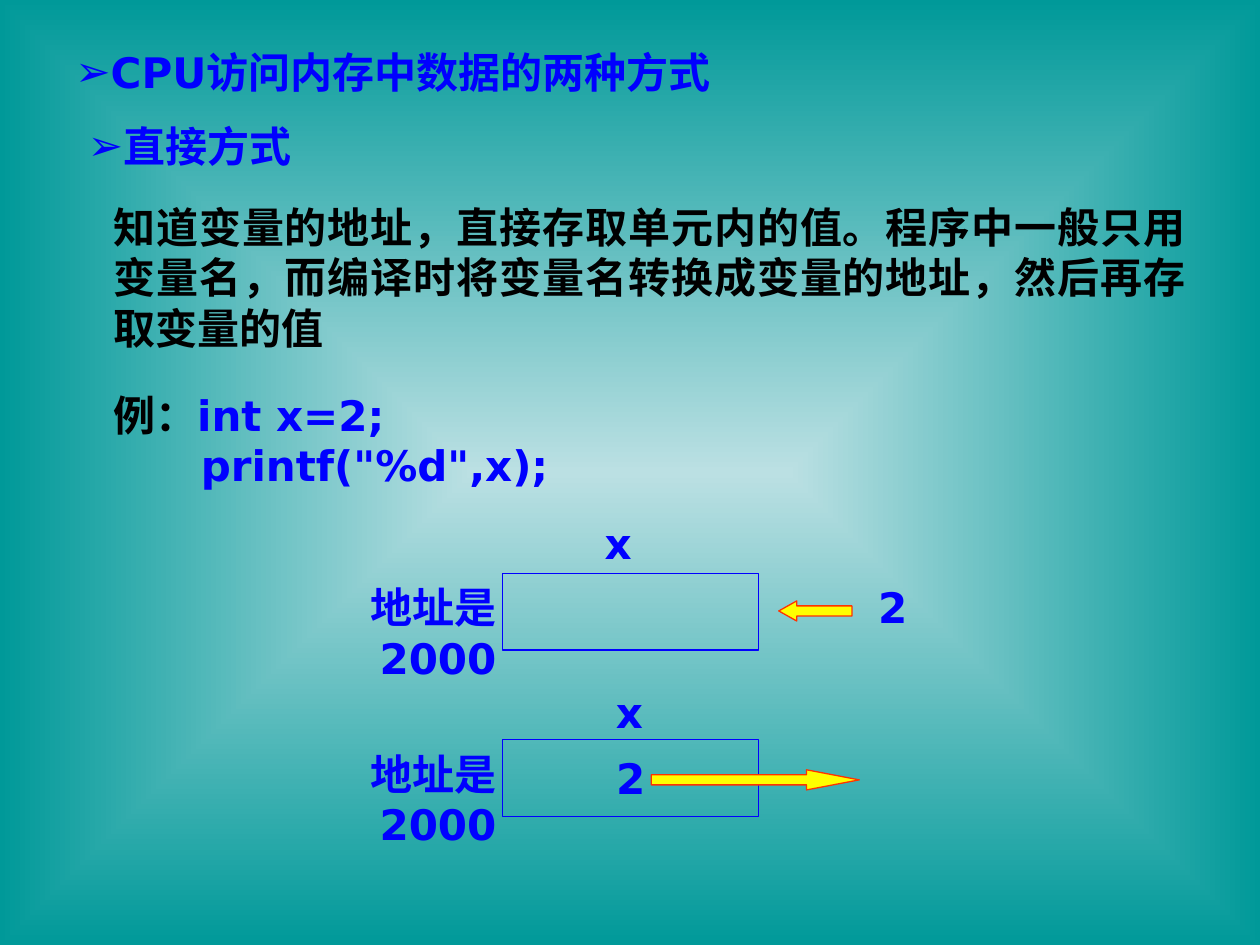
from dataclasses import dataclass

import pptx
import pptx.dml.color
import pptx.enum.shapes
import pptx.enum.text
import pptx.oxml
import pptx.oxml.ns
import pptx.util

Pt = pptx.util.Pt
RGB = pptx.dml.color.RGBColor.from_string
MSO = pptx.enum.shapes.MSO_SHAPE
ALIGN = pptx.enum.text.PP_ALIGN
ANCHOR = pptx.enum.text.MSO_ANCHOR
qn = pptx.oxml.ns.qn


@dataclass(frozen=True)
class Theme:
    font: str = "DejaVu Sans"
    size: int = 24
    line: float = 0.75
    blue: str = "0000FF"
    black: str = "000000"
    yellow: str = "FFFF00"
    red: str = "FF3300"
    center: str = "BBE0E3"
    edge: str = "009999"


theme = Theme()


def add_text(box, text, color=theme.blue, align=ALIGN.LEFT, inset=True):
    sp = s.shapes.add_textbox(*map(Pt, box))
    tf = sp.text_frame
    tf.word_wrap = True
    tf.margin_left = tf.margin_right = Pt(7.2 if inset else 0)
    tf.margin_top = tf.margin_bottom = Pt(3.6 if inset else 0)
    tf.text = text
    for p in tf.paragraphs:
        p.alignment = align
        for r in p.runs:
            style_run(r, color)
    return sp


def style_run(r, color):
    r.font.name = theme.font
    r.font.size = Pt(theme.size)
    r.font.bold = True
    r.font.color.rgb = RGB(color)


prs = pptx.Presentation()
prs.slide_width, prs.slide_height = Pt(720), Pt(540)
s = prs.slides.add_slide(prs.slide_layouts[6])

fill = s.background.fill
fill.gradient()
for stop, position, color in zip(fill.gradient_stops, (0, 1), (theme.center, theme.edge)):
    stop.position = position
    stop.color.rgb = RGB(color)
lin = next(s.element.iter(qn("a:lin")))
grad = lin.getparent()
grad.replace(lin, pptx.oxml.parse_xml(
    '<a:path xmlns:a="http://schemas.openxmlformats.org/drawingml/2006/main" path="rect">'
    '<a:fillToRect l="50000" t="50000" r="50000" b="50000"/></a:path>'))

headings = [
    ("CPU访问内存中数据的两种方式", 23, 20.2),
    ("直接方式", 65.5, 27.4),
]
for text, top, indent in headings:
    sp = add_text((36, top, 648, 36), text)
    pPr = sp.text_frame.paragraphs[0]._p.get_or_add_pPr()
    pPr.set("marL", str(Pt(indent)))
    pPr.set("indent", str(Pt(-20.2)))
    clr = pPr.makeelement(qn("a:buClr"), {})
    clr.append(clr.makeelement(qn("a:srgbClr"), {"val": theme.blue}))
    pPr.append(clr)
    pPr.append(pPr.makeelement(qn("a:buFont"), {"typeface": theme.font}))
    pPr.append(pPr.makeelement(qn("a:buChar"), {"char": "➢"}))

explanation = "知道变量的地址，直接存取单元内的值。程序中一般只用变量名，而编译时将变量名转换成变量的地址，然后再存取变量的值"
sp = add_text((36.7, 111.6, 648, 93.6), explanation, theme.black, ALIGN.JUSTIFY)
sp.text_frame.paragraphs[0]._p.get_or_add_pPr().set("marL", str(Pt(20.9)))

sp = add_text((36.7, 218.9, 648, 64.8), '例：\nprintf("%d",x);')
first, second = sp.text_frame.paragraphs
first.runs[0].font.color.rgb = RGB(theme.black)
r = first.add_run()
r.text = "int x=2;"
style_run(r, theme.blue)
for p, indent in ((first, 20.9), (second, 71)):
    p._p.get_or_add_pPr().set("marL", str(Pt(indent)))

cells = [
    (327.6, "", (326.2, 292.3), MSO.LEFT_ARROW, (445, 343.4, 41.8, 11.5), 0.892),
    (422.6, "2", (332.6, 388.8), MSO.RIGHT_ARROW, (372.2, 439.9, 118.8, 11.5), 2.617),
]
for top, value, name_at, arrow_kind, arrow_box, head in cells:
    cell = s.shapes.add_shape(MSO.RECTANGLE, Pt(287.3), Pt(top), Pt(146.2), Pt(43.9))
    cell.shadow.inherit = False
    cell.fill.background()
    cell.line.color.rgb = RGB(theme.blue)
    cell.line.width = Pt(theme.line)
    tf = cell.text_frame
    tf.word_wrap = False
    tf.vertical_anchor = ANCHOR.MIDDLE
    if value:
        tf.text = value
        tf.paragraphs[0].alignment = ALIGN.CENTER
        style_run(tf.paragraphs[0].runs[0], theme.blue)

    add_text((*name_at, 54, 36), "x", align=ALIGN.CENTER)
    add_text((161.3, top + 5, 122.4, 57.6), "地址是2000", align=ALIGN.RIGHT, inset=False)

    arrow = s.shapes.add_shape(arrow_kind, *map(Pt, arrow_box))
    arrow.shadow.inherit = False
    arrow.adjustments[0] = 0.5
    arrow.adjustments[1] = head
    arrow.fill.solid()
    arrow.fill.fore_color.rgb = RGB(theme.yellow)
    arrow.line.color.rgb = RGB(theme.red)
    arrow.line.width = Pt(theme.line)

add_text((501.8, 332.6, 18, 28.8), "2", inset=False)

prs.save("out.pptx")
